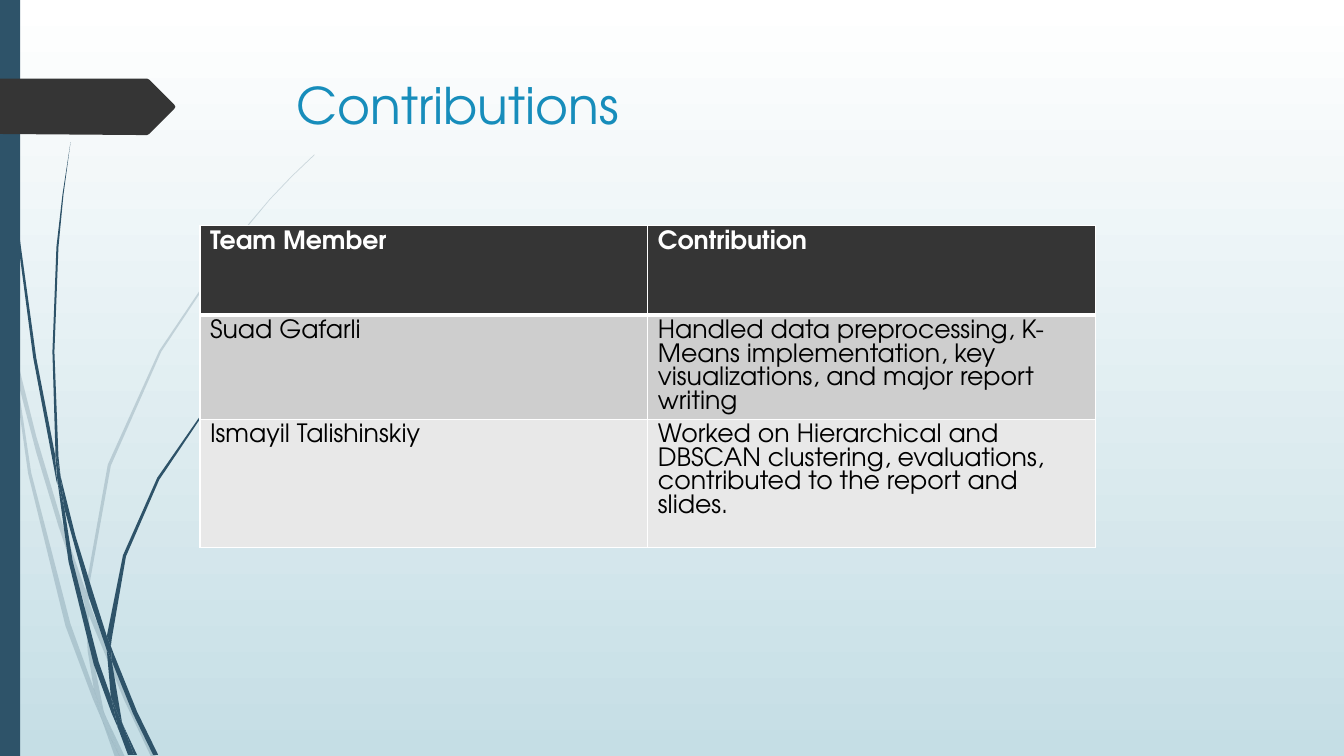
from dataclasses import dataclass
from itertools import product

from lxml import etree
from pptx import Presentation
from pptx import util as u
from pptx.dml import color
from pptx.enum import shapes, text
from pptx.oxml import ns


@dataclass(frozen=True)
class Theme:
    font: str = "TeX Gyre Adventor"
    title_size: float = 36
    body_size: float = 18
    body_leading: float = 16.85
    teal: str = "2E5369"
    dark: str = "353535"
    title: str = "178DBB"
    white: str = "FFFFFF"
    black: str = "000000"
    sky: str = "C5DEE5"
    band_dark: str = "CECECE"
    band_light: str = "E8E8E8"


@dataclass(frozen=True)
class Grass:
    opacity: int
    outlines: tuple[str, ...]


@dataclass(frozen=True)
class TableRow:
    member: str
    contribution: str
    height: float
    fill: str
    ink: str
    bold: bool = False
    rule_below: float = 1


THEME = Theme()
HUNDREDTH_INCH = u.Pt(0.72)

PALE_GRASS = Grass(20, (
    "11,350 9,322 0,282 0,299 10,344",
    "58,522 84,599 85,586 62,520 36,433 14,345 17,376 36,449",
    "92,607 88,596 88,610 123,694 150,751 155,751 127,692",
    "119,751 124,751 105,711",
    "93,683 70,619 31,469 17,376 11,350 28,470 65,621 92,693 101,714 99,707",
    "84,599 87,646 93,683 96,692 105,711 103,706 91,646 88,610 88,608",
    "88,584 110,462 160,349 229,245 268,198 290,175 312,154 312,153 289,175 268,197 228,244 158,348 "
    "107,461 85,584 85,586 88,596",
    "101,714 114,751 119,751",
    "88,608 88,610 88,596 85,586 84,599",
    "96,692 93,683 99,707 101,714 119,751 105,711",
))

DARK_GRASS = Grass(100, (
    "7,110 17,233 33,355 56,477 57,481 55,457 55,453 36,355 19,232 8,109 5,48 4,0 3,0 4,48",
    "88,592 106,645 106,633 106,631 93,590 75,532 60,472 64,505",
    "113,649 110,641 111,656 132,708 152,749 157,749 136,706",
    "110,691 98,657 72,556 64,505 57,477 68,557 93,659 111,708 117,722 116,717",
    "60,472 58,453 54,349 58,245 63,193 70,141 62,193 56,245 52,349 55,449",
    "133,749 136,749 122,719",
    "57,477 64,505 60,472 55,449 55,453",
    "111,633 125,552 158,476 205,406 231,374 245,359 261,344 260,344 245,358 231,373 204,405 156,474 "
    "122,551 106,631 110,641",
    "117,722 127,749 131,749",
    "106,645 110,691 116,706 122,719 121,716 111,656 109,651",
    "106,645 109,651 111,656 110,641 106,631 106,633",
    "116,706 110,691 116,717 117,722 130,749 133,749 122,719",
))

ARROW_TAG = "0,78 146,78 148,79 173,104 174,106 173,108 148,133 146,134 136,134 0,133"

ROWS = (
    TableRow("Team Member", "Contribution", 64, THEME.dark, THEME.white, True, 3),
    TableRow("Suad Gafarli",
             "Handled data preprocessing, K-Means implementation, key visualizations, and major report writing",
             74.5, THEME.band_dark, THEME.black),
    TableRow("Ismayil Talishinskiy",
             "Worked on Hierarchical and DBSCAN clustering, evaluations, contributed to the report and slides.",
             91.5, THEME.band_light, THEME.black),
)


def rgb(value: str) -> color.RGBColor:
    return color.RGBColor.from_string(value)


def paint(shape, fill: str, opacity: int = 100) -> None:
    shape.shadow.inherit = False
    shape.line.fill.background()
    shape.fill.solid()
    shape.fill.fore_color.rgb = rgb(fill)
    if opacity < 100:
        tone = shape.fill._xPr.find(".//" + ns.qn("a:srgbClr"))
        etree.SubElement(tone, ns.qn("a:alpha"), val=str(opacity * 1000))


def draw_outline(page, outline: str, fill: str, opacity: int = 100) -> None:
    corners = [tuple(map(int, pair.split(","))) for pair in outline.split()]
    builder = page.shapes.build_freeform(*corners[0], scale=HUNDREDTH_INCH)
    builder.add_line_segments(corners[1:], close=True)
    paint(builder.convert_to_shape(), fill, opacity)


def draw_grass(page, grass: Grass) -> None:
    for outline in grass.outlines:
        draw_outline(page, outline, THEME.teal, grass.opacity)


def write(para, words: str, size: float, ink: str, bold: bool = False) -> None:
    para.alignment = text.PP_ALIGN.LEFT
    span = para.add_run()
    span.text = words
    span.font.name, span.font.size, span.font.bold = THEME.font, u.Pt(size), bold
    span.font.color.rgb = rgb(ink)


def set_border(cell, side: str, width: float) -> None:
    edge = etree.Element(ns.qn(f"a:ln{side}"), w=str(u.Pt(width)))
    fill = etree.SubElement(edge, ns.qn("a:solidFill"))
    etree.SubElement(fill, ns.qn("a:srgbClr"), val=THEME.white)
    cell._tc.get_or_add_tcPr().append(edge)


def draw_table(page) -> None:
    frame = page.shapes.add_table(len(ROWS), 2, u.Pt(142.8), u.Pt(160.8), u.Pt(640),
                                  u.Pt(sum(row.height for row in ROWS)))
    table = frame.table
    for index, column in product(range(len(ROWS)), range(2)):
        row = ROWS[index]
        table.rows[index].height = u.Pt(row.height)
        cell = table.cell(index, column)
        para = cell.text_frame.paragraphs[0]
        para.line_spacing = u.Pt(THEME.body_leading)
        write(para, (row.member, row.contribution)[column], THEME.body_size, row.ink, row.bold)
        top = ROWS[index - 1].rule_below if index else 1
        for side, width in zip("LRTB", (1, 1, top, row.rule_below)):
            set_border(cell, side, width)
        cell.fill.solid()
        cell.fill.fore_color.rgb = rgb(row.fill)


def draw_title(page) -> None:
    box = page.shapes.title
    box.left, box.top, box.width, box.height = u.Pt(204.5), u.Pt(49), u.Pt(702), u.Pt(100.8)
    box.text_frame.vertical_anchor = text.MSO_ANCHOR.TOP
    write(box.text_frame.paragraphs[0], "Contributions", THEME.title_size, THEME.title)


def main() -> None:
    deck = Presentation()
    deck.slide_width, deck.slide_height = u.Pt(960), u.Pt(540)
    page = deck.slides.add_slide(deck.slide_layouts.get_by_name("Title Only"))
    backdrop = page.background.fill
    backdrop.gradient()
    backdrop.gradient_angle = 270
    for stop, tone in zip(backdrop.gradient_stops, (THEME.white, THEME.sky)):
        stop.color.rgb = rgb(tone)
    draw_grass(page, PALE_GRASS)
    draw_grass(page, DARK_GRASS)
    side_bar = page.shapes.add_shape(shapes.MSO_SHAPE.RECTANGLE, 0, 0, u.Pt(14.4), deck.slide_height)
    paint(side_bar, THEME.teal)
    draw_outline(page, ARROW_TAG, THEME.dark)
    draw_title(page)
    draw_table(page)
    deck.save("out.pptx")


if __name__ == "__main__":
    main()
